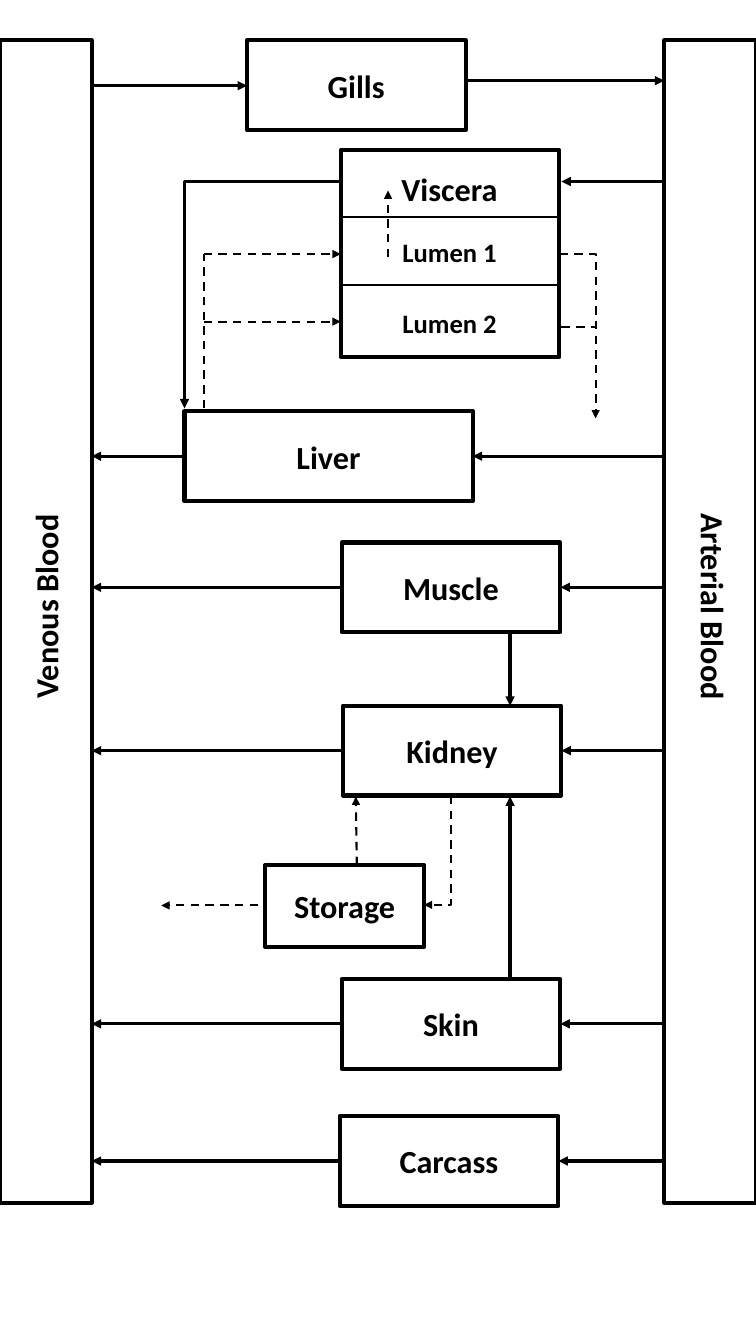
from lxml import etree
from pptx import Presentation
from pptx.dml.color import RGBColor
from pptx.enum.dml import MSO_LINE
from pptx.enum.shapes import MSO_CONNECTOR, MSO_SHAPE
from pptx.enum.text import MSO_ANCHOR, PP_ALIGN
from pptx.oxml.ns import qn
from pptx.util import Inches, Pt

DASH = MSO_LINE.DASH
STRAIGHT, ELBOW = MSO_CONNECTOR.STRAIGHT, MSO_CONNECTOR.ELBOW
RECTANGLE = MSO_SHAPE.RECTANGLE
CENTER, MIDDLE = PP_ALIGN.CENTER, MSO_ANCHOR.MIDDLE

COLORS = {"ink": "000000"}
VENOUS_EDGE, ARTERIAL_EDGE = 0.91, 6.59
BLOOD_TOP, BLOOD_WIDTH, BLOOD_HEIGHT = 0.4, 0.91, 11.53
ORGAN_WIDTH, ORGAN_HEIGHT = 2.17, 0.89
LABEL_WIDTH, LABEL_HEIGHT = 1.73, 0.49
FLOW, THIN = 2.25, 1.5

ORGANS = [
    ("Liver", 1.83, 4.08, 2.86),
    ("Muscle", 3.39, 5.38, ORGAN_WIDTH),
    ("Kidney", 3.4, 7, ORGAN_WIDTH),
    ("Skin", 3.39, 9.71, ORGAN_WIDTH),
    ("Carcass", 3.37, 11.07, ORGAN_WIDTH),
]
SOLID_ARROWS = [
    ((VENOUS_EDGE, 0.85), (2.45, 0.85)),
    ((4.62, 0.8), (ARTERIAL_EDGE, 0.8)),
    ((ARTERIAL_EDGE, 1.8), (5.57, 1.8)),
    ((5.06, 6.27), (5.06, 7)),
    ((5.06, 9.71), (5.06, 7.9)),
]
DASHED_ARROWS = [
    ((3.54, 8.58), (3.53, 7.9)),
    ((2.56, 8.98), (1.6, 8.98)),
    ((2.02, 2.52), (3.38, 2.52)),
    ((2.02, 3.19), (3.38, 3.19)),
    ((3.85, 2.55), (3.85, 1.89)),
]
DASHED_LINES = [((2.02, 4.05), (2.02, 2.52)), ((5.57, 3.24), (5.91, 3.24))]
LUMEN_DIVIDERS = [2.15, 2.83]
VISCERA_LABELS = [
    ("Viscera", 1.63, LABEL_HEIGHT, 23),
    ("Lumen 1", 2.29, 0.42, 19),
    ("Lumen 2", 2.99, 0.42, 19),
]


class FlowDiagram:
    """Draws boxes, labels and flows in one style on the current slide."""

    def __init__(self, slide):
        self.shapes = slide.shapes
        self.ink = RGBColor.from_string(COLORS["ink"])
        self.font = {"name": "Calibri", "bold": True}

    def box(self, left, top, width, height):
        shape = self.shapes.add_shape(RECTANGLE, *map(Inches, (left, top, width, height)))
        shape.shadow.inherit = False
        shape.fill.background()
        shape.line.color.rgb = self.ink
        shape.line.width = Pt(3)

    def label(self, text, left, top, width, height=LABEL_HEIGHT, size=23, rotation=0):
        shape = self.shapes.add_textbox(*map(Inches, (left, top, width, height)))
        shape.rotation = rotation
        frame = shape.text_frame
        frame.word_wrap = True
        frame.vertical_anchor = MIDDLE
        paragraph = frame.paragraphs[0]
        paragraph.text = text
        paragraph.alignment = CENTER
        for attribute, value in {**self.font, "size": Pt(size)}.items():
            setattr(paragraph.font, attribute, value)
        paragraph.font.color.rgb = self.ink

    def compartment(self, text, left, top, width, height=ORGAN_HEIGHT, label_width=LABEL_WIDTH):
        self.box(left, top, width, height)
        label_left = left + (width - label_width) / 2
        label_top = top + (height - LABEL_HEIGHT) / 2
        self.label(text, label_left, label_top, label_width)

    def line(self, start, end, weight=FLOW, dash=None, arrow=True, kind=STRAIGHT):
        connector = self.shapes.add_connector(kind, *map(Inches, (*start, *end)))
        values = {"width": Pt(weight), "dash_style": dash}
        for attribute, value in values.items():
            setattr(connector.line, attribute, value)
        connector.line.color.rgb = self.ink
        properties = connector._element.spPr
        if arrow:
            etree.SubElement(properties.find(qn("a:ln")), qn("a:tailEnd"), type="triangle")
        etree.SubElement(properties, qn("a:effectLst"))
        return properties

    def elbow(self, left, top, width, height, preset, rotation=0, bend=None, **style):
        end = (left + width, top + height)
        properties = self.line((left, top), end, kind=ELBOW, **style)
        properties.find(qn("a:xfrm")).set("rot", str(rotation * 60000))
        geometry = properties.find(qn("a:prstGeom"))
        geometry.set("prst", preset)
        if bend is not None:
            guides = geometry.find(qn("a:avLst"))
            etree.SubElement(guides, qn("a:gd"), name="adj1", fmla=f"val {bend}")


def main():
    presentation = Presentation()
    presentation.slide_width, presentation.slide_height = Inches(7.5), Inches(13.33)
    diagram = FlowDiagram(presentation.slides.add_slide(presentation.slide_layouts[6]))
    dashed = {"weight": THIN, "dash": DASH}

    for left in (0, ARTERIAL_EDGE):
        diagram.box(left, BLOOD_TOP, BLOOD_WIDTH, BLOOD_HEIGHT)
    diagram.label("Venous Blood", -1.63, 5.77, 4.16, rotation=270)
    diagram.label("Arterial Blood", 5, 5.77, 4.16, rotation=90)

    for name, left, top, width in ORGANS:
        diagram.compartment(name, left, top, width)
        middle = top + ORGAN_HEIGHT / 2
        diagram.line((ARTERIAL_EDGE, middle), (left + width, middle))
        diagram.line((left, middle), (VENOUS_EDGE, middle))
    diagram.compartment("Gills", 2.45, 0.4, ORGAN_WIDTH)
    diagram.compartment("Storage", 2.63, 8.58, 1.58, 0.81, 1.48)

    diagram.box(3.38, 1.49, ORGAN_WIDTH, 2.05)
    for height in LUMEN_DIVIDERS:
        diagram.line((3.38, height), (5.54, height), THIN, arrow=False)
    for text, top, height, size in VISCERA_LABELS:
        diagram.label(text, 3.74, top, 1.44, height, size)

    for start, end in SOLID_ARROWS:
        diagram.line(start, end)
    for start, end in DASHED_ARROWS:
        diagram.line(start, end, **dashed)
    for start, end in DASHED_LINES:
        diagram.line(start, end, arrow=False, **dashed)
    diagram.elbow(1.48, 2.15, 2.25, 1.55, "bentConnector3", 90, bend=200)
    diagram.elbow(3.8, 8.3, 1.08, 0.27, "bentConnector2", 90, **dashed)
    diagram.elbow(5.55, 2.52, 0.36, 1.63, "bentConnector2", **dashed)

    presentation.save("out.pptx")


if __name__ == "__main__":
    main()
